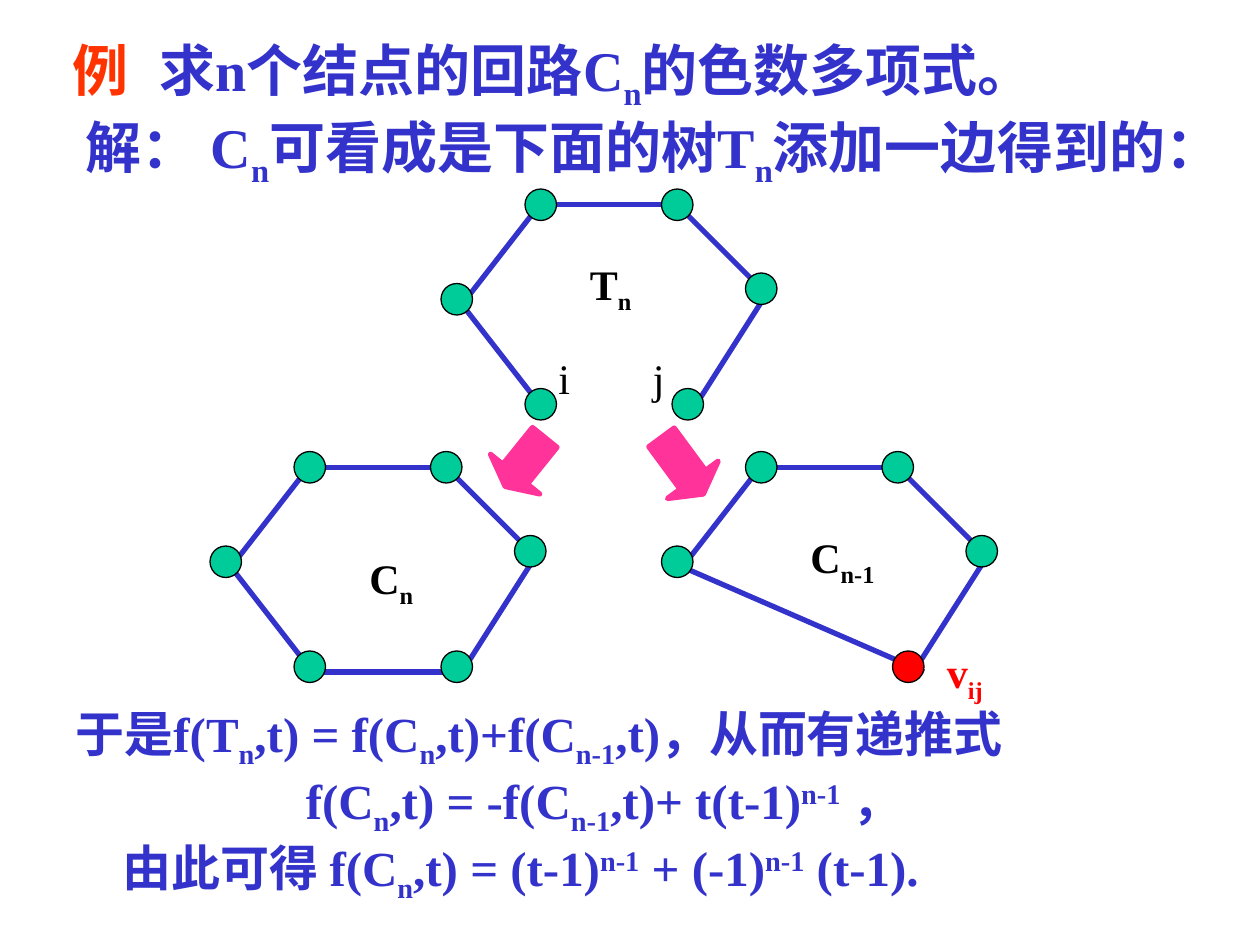
from dataclasses import dataclass

from lxml import etree
from pptx import Presentation
from pptx import util as u
from pptx.dml.color import RGBColor
from pptx.enum import shapes, text
from pptx.oxml import ns


@dataclass(frozen=True)
class Theme:
    font: str = "Times New Roman"
    blue: str = "3333CC"
    orange: str = "FF3300"
    red: str = "FF0000"
    green: str = "00CC99"
    pink: str = "FF3399"
    black: str = "000000"
    title: int = 32
    body: int = 28
    label: int = 24


# Circuit geometry in grid steps, relative to the circuit's top-left corner
NODES = {"bottom right": (22, 19), "bottom left": (8, 19), "left": (0, 9),
         "top left": (8, 0), "top right": (21, 0), "right": (29, 8)}
EDGES = {"bottom": (10, 21, 24, 21), "chord": (2, 11, 25, 21),
         "top": (10.5, 1.5, 21.5, 1.5), "upper left": (9, 2, 2, 11),
         "lower left": (2, 11, 9, 20), "upper right": (23, 2, 30, 9),
         "lower right": (31, 10, 24, 21)}
LABEL_HEIGHT = 6.5
NODE_SIZE = 3


def grid(*steps):
    """Turn grid steps, twelve to the inch, into lengths."""
    return [u.Cm(n * 2.54 / 12) for n in steps]


def rgb(color):
    return RGBColor.from_string(color)


def add_text(p, content, *, size, color, font, bold=True):
    """Add runs split at "|"; a part led by _ is lowered, by ^ raised."""
    for part in content.split("|"):
        shift = {"_": "-25000", "^": "30000"}.get(part[0])
        r = p.add_run()
        r.text = part[1:] if shift else part
        r.font.name, r.font.size, r.font.bold = font, u.Pt(size), bold
        r.font.color.rgb = rgb(color)
        if shift:
            r.font._element.set("baseline", shift)


class Deck:
    def __init__(self, theme):
        self.theme = theme
        self.prs = Presentation()
        self.prs.slide_width, self.prs.slide_height = u.Cm(25.4), u.Cm(19.05)
        self.s = self.prs.slides.add_slide(self.prs.slide_layouts[1])

    def frame(self, sp):
        tf = sp.text_frame
        tf.word_wrap = True
        tf.auto_size = text.MSO_AUTO_SIZE.NONE
        tf.vertical_anchor = text.MSO_ANCHOR.TOP
        return tf

    def placeholder(self, idx, box):
        sp = self.s.placeholders[idx]
        sp.left, sp.top, sp.width, sp.height = grid(*box)
        return self.frame(sp)

    def paragraph(self, tf, parts, size, indent=0.0, tab=None,
                  align=text.PP_ALIGN.LEFT):
        """Add a plain paragraph made of (text, colour) parts."""
        p = tf.paragraphs[0]
        if p.runs:
            p = tf.add_paragraph()
        p.alignment, p.space_before = align, u.Pt(0)
        pPr = p._p.get_or_add_pPr()
        pPr.set("marL", "0")
        pPr.set("indent", str(u.Cm(indent)))
        etree.SubElement(pPr, ns.qn("a:buNone"))
        if tab:
            tabs = etree.SubElement(pPr, ns.qn("a:tabLst"))
            etree.SubElement(tabs, ns.qn("a:tab"), pos=str(u.Cm(tab)), algn="l")
        for content, color in parts:
            add_text(p, content, size=size, color=color, font=self.theme.font)

    def label(self, group, content, x, y, width, color=None, bold=True):
        t = self.theme
        sp = group.shapes.add_textbox(*grid(x, y, width, LABEL_HEIGHT))
        add_text(self.frame(sp).paragraphs[0], content, size=t.label,
                 color=color or t.black, font=t.font, bold=bold)

    def edge(self, group, *ends):
        c = group.shapes.add_connector(shapes.MSO_CONNECTOR.STRAIGHT, *grid(*ends))
        c.line.color.rgb, c.line.width = rgb(self.theme.blue), u.Pt(3)
        etree.SubElement(c._element.spPr, ns.qn("a:effectLst"))

    def shape(self, parent, kind, box, fill, line, weight):
        sp = parent.shapes.add_shape(kind, *grid(*box))
        sp.shadow.inherit = False
        sp.fill.solid()
        sp.fill.fore_color.rgb = rgb(fill)
        sp.line.color.rgb, sp.line.width = rgb(line), u.Pt(weight)
        return sp

    def arrow(self, box, rotation, head):
        pink = self.theme.pink
        sp = self.shape(self.s, shapes.MSO_SHAPE.DOWN_ARROW, box, pink, pink, 3)
        sp.rotation = rotation
        sp.adjustments[0], sp.adjustments[1] = 0.5, head

    def circuit(self, x, y, without=(), merged=None):
        """Draw the circuit, leaving out some parts; merged is the red node."""
        t = self.theme
        group = self.s.shapes.add_group_shape()
        for name, (x1, y1, x2, y2) in EDGES.items():
            if name not in without:
                self.edge(group, x + x1, y + y1, x + x2, y + y2)
        for name, (dx, dy) in NODES.items():
            if name not in without:
                self.shape(group, shapes.MSO_SHAPE.OVAL,
                           (x + dx, y + dy, NODE_SIZE, NODE_SIZE),
                           t.red if name == merged else t.green, t.black, 0.75)
        return group


def main():
    t = Theme()
    d = Deck(t)

    tf = d.placeholder(0, (2, 2.8, 115, 22.2))
    d.paragraph(tf, [("例", t.orange), ("\t求n个结点的回路C|_n|的色数多项式。", t.blue)],
                t.title, indent=0.78, tab=2.44)
    d.paragraph(tf, [("解： C|_n|可看成是下面的树T|_n|添加一边得到的：", t.blue)],
                t.title, indent=1.05)

    cycle = d.circuit(20, 43, without=("chord",))
    d.label(cycle, "C|_n", 34, 52, 8)

    contracted = d.circuit(63, 43, without=("bottom", "lower left", "bottom left"),
                           merged="bottom right")
    d.label(contracted, "v|_ij", 89, 61, 7, color=t.red)
    d.label(contracted, "C|_n-1", 76, 50, 11)

    d.arrow((47, 41, 6, 6), 38.9, 0.25)
    d.arrow((62, 41, 6, 6.7), 323.6, 0.28)

    tree = d.circuit(42, 18, without=("bottom", "chord"))
    d.label(tree, "i", 52, 33, 4, bold=False)
    d.label(tree, "j", 61, 33, 4, bold=False)
    d.label(tree, "T|_n", 55, 24, 8)

    tf = d.placeholder(1, (6, 66.4, 103, 21.7))
    d.paragraph(tf, [("于是f(T|_n|,t) = f(C|_n|,t)+f(C|_n-1|,t)，从而有递推式", t.blue)],
                t.body)
    d.paragraph(tf, [("f(C|_n|,t) = -f(C|_n-1|,t)+ t(t-1)|^n-1| ，", t.blue)],
                t.body, align=text.PP_ALIGN.CENTER)
    d.paragraph(tf, [("由此可得 f(C|_n|,t) = (t-1)|^n-1| + (-1)|^n-1| (t-1).", t.blue)],
                t.body, indent=0.95)

    d.prs.save("out.pptx")


if __name__ == "__main__":
    main()
